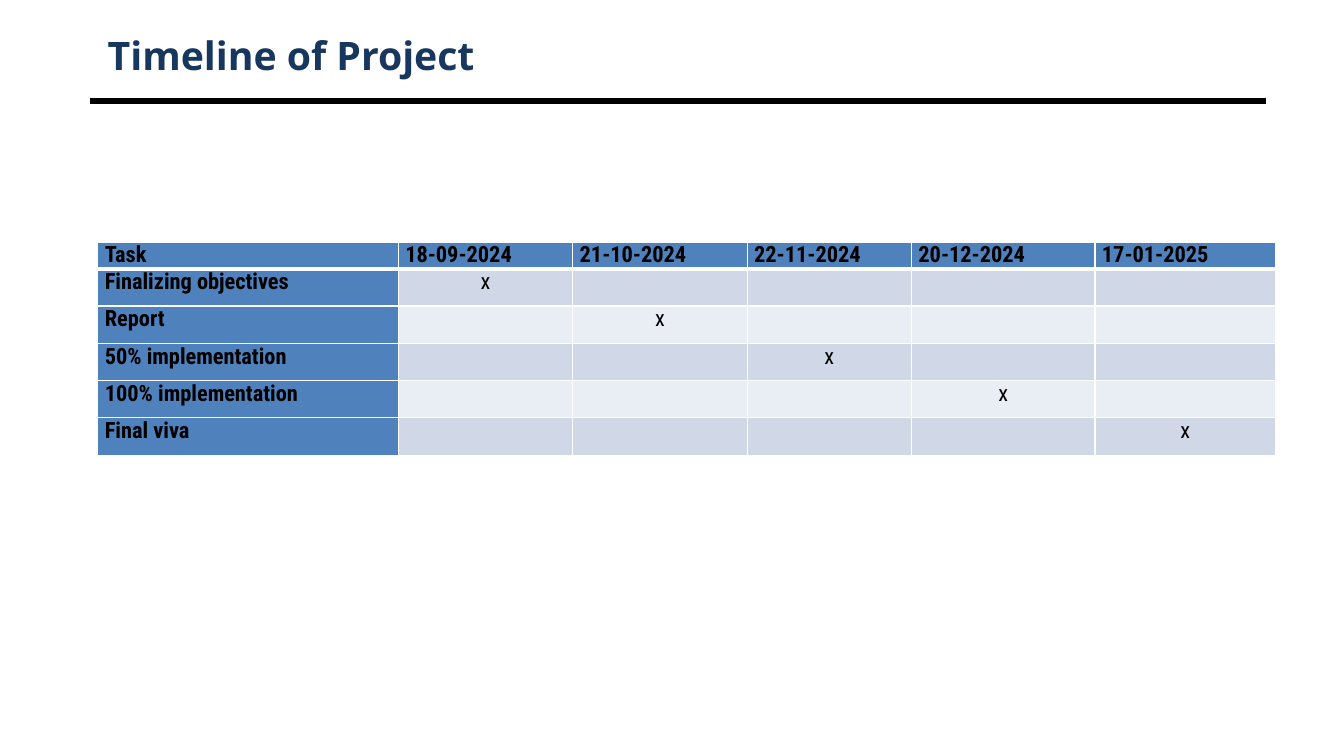
"""Build the project timeline slide: a title, a rule and a task schedule."""
from dataclasses import dataclass

from lxml import etree
from pptx import Presentation
from pptx.dml.color import RGBColor
from pptx.enum.shapes import MSO_CONNECTOR
from pptx.enum.text import MSO_ANCHOR, PP_ALIGN
from pptx.oxml.ns import qn
from pptx.util import Inches, Pt

STRAIGHT = MSO_CONNECTOR.STRAIGHT
MIDDLE = MSO_ANCHOR.MIDDLE
LEFT, CENTER = PP_ALIGN.LEFT, PP_ALIGN.CENTER

NAVY = RGBColor(0x17, 0x37, 0x5E)
BLACK = RGBColor(0x00, 0x00, 0x00)
WHITE = RGBColor(0xFF, 0xFF, 0xFF)
BLUE = RGBColor(0x4F, 0x81, 0xBD)
BANDS = (RGBColor(0xD0, 0xD8, 0xE8), RGBColor(0xE9, 0xED, 0xF4))

TITLE_FONT = "Open Sans"
TABLE_FONT = "Roboto Condensed"

PAGE_WIDTH, PAGE_HEIGHT = Inches(13.33), Inches(7.5)
MARGIN = Inches(0.97)
CONTENT_WIDTH = PAGE_WIDTH * 0.875
COLUMN_WIDTHS = (2.98, 1.73, 1.73, 1.63, 1.82, 1.79)
HEADER_HEIGHT, ROW_HEIGHT = 0.26, 0.37
CELL_INSET = Inches(0.07)


@dataclass(frozen=True)
class Task:
    name: str
    due: str


TASKS = (
    Task("Finalizing objectives", "18-09-2024"),
    Task("Report", "21-10-2024"),
    Task("50% implementation", "22-11-2024"),
    Task("100% implementation", "20-12-2024"),
    Task("Final viva", "17-01-2025"),
)


def write(frame, text: str, *, font: str, size: float, color: RGBColor,
          bold: bool = False, align=LEFT) -> None:
    para = frame.paragraphs[0]
    para.alignment = align
    span = para.add_run()
    span.text = text
    span.font.name = font
    span.font.size = Pt(size)
    span.font.bold = bold
    span.font.color.rgb = color


def add_title(page, text: str) -> None:
    box = page.shapes.add_textbox(MARGIN, Inches(0.28), int(CONTENT_WIDTH), Inches(0.53))
    frame = box.text_frame
    frame.word_wrap = True
    frame.vertical_anchor = MIDDLE
    write(frame, text, font=TITLE_FONT, size=28, color=NAVY, bold=True)


def add_rule(page) -> None:
    left, top = Inches(0.89), Inches(1)
    rule = page.shapes.add_connector(STRAIGHT, left, top, int(left + CONTENT_WIDTH), top)
    rule.line.color.rgb = BLACK
    rule.line.width = Pt(4.5)
    etree.SubElement(rule._element.spPr, qn("a:effectLst"))


def add_borders(cell, is_header: bool, below_header: bool) -> None:
    properties = cell._tc.get_or_add_tcPr()
    widths = {"lnL": 1, "lnR": 1, "lnT": 3 if below_header else 1,
              "lnB": 3 if is_header else 1}
    for side, width in widths.items():
        line = etree.SubElement(properties, qn(f"a:{side}"), w=str(Pt(width)))
        fill = etree.SubElement(line, qn("a:solidFill"))
        etree.SubElement(fill, qn("a:srgbClr"), val=str(WHITE))


def cell_text(row: int, column: int) -> str:
    if row == 0:
        return "Task" if column == 0 else TASKS[column - 1].due
    if column == 0:
        return TASKS[row - 1].name
    return "x" if row == column else ""


def fill_cell(cell, row: int, column: int) -> None:
    is_heading = row == 0 or column == 0
    add_borders(cell, row == 0, row == 1)
    cell.fill.solid()
    cell.fill.fore_color.rgb = BLUE if is_heading else BANDS[(row - 1) % 2]
    cell.margin_left = cell.margin_right = CELL_INSET
    cell.margin_top = cell.margin_bottom = 0
    text = cell_text(row, column)
    if text:
        write(cell.text_frame, text, font=TABLE_FONT, size=16, color=BLACK,
              bold=is_heading, align=LEFT if is_heading else CENTER)


def add_schedule(page) -> None:
    heights = (HEADER_HEIGHT,) + (ROW_HEIGHT,) * len(TASKS)
    table = page.shapes.add_table(
        len(heights), len(COLUMN_WIDTHS), MARGIN, Inches(2.4),
        Inches(sum(COLUMN_WIDTHS)), Inches(sum(heights))).table
    for column, width in zip(table.columns, COLUMN_WIDTHS):
        column.width = Inches(width)
    for row, height in enumerate(heights):
        table.rows[row].height = Inches(height)
        for column in range(len(COLUMN_WIDTHS)):
            fill_cell(table.cell(row, column), row, column)


def main() -> None:
    deck = Presentation()
    deck.slide_width, deck.slide_height = PAGE_WIDTH, PAGE_HEIGHT
    page = deck.slides.add_slide(deck.slide_layouts[6])
    add_rule(page)
    add_title(page, "Timeline of Project")
    add_schedule(page)
    deck.save("out.pptx")


if __name__ == "__main__":
    main()
